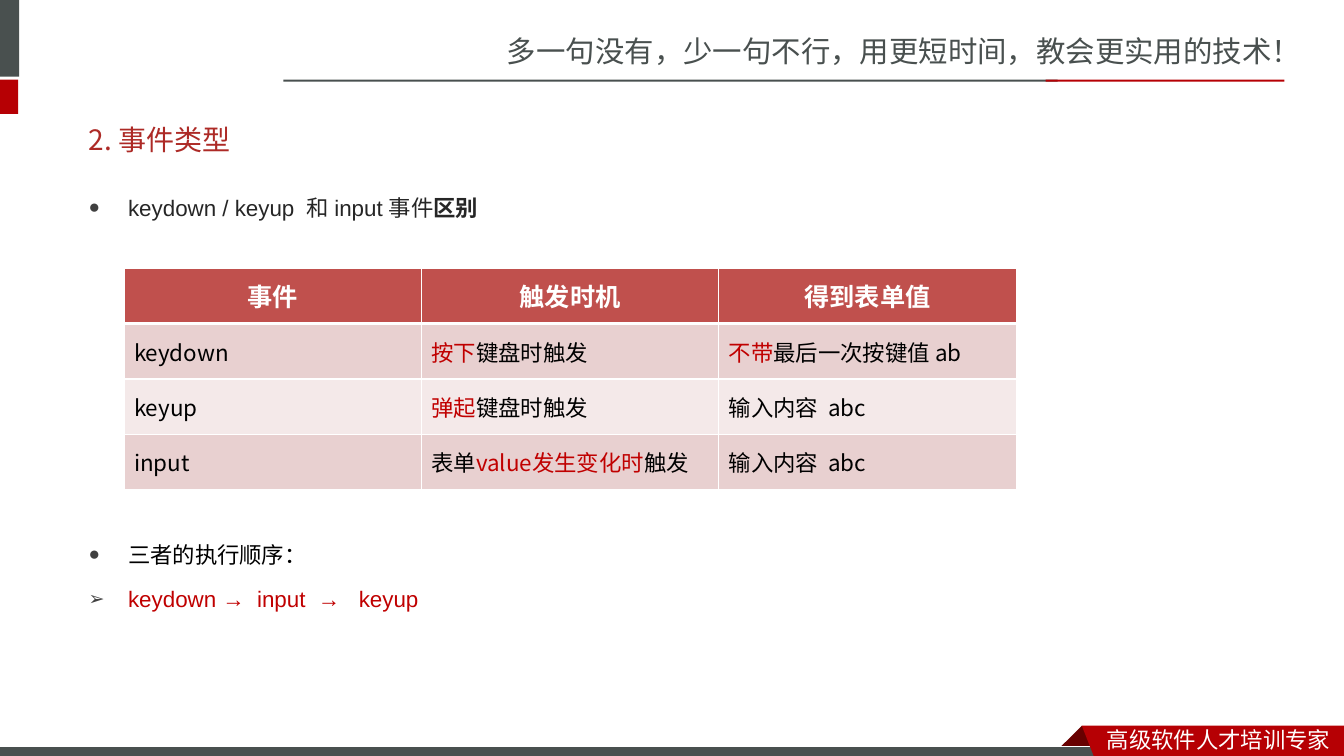
"""Build the slide that compares the keydown, keyup and input events."""
from lxml import etree
from pptx import Presentation
from pptx import util as u
from pptx.dml.color import RGBColor
from pptx.enum import shapes, text
from pptx.oxml import ns

RED, DARK_RED, GREY = "B60004", "680000", "49504F"
ACCENT, BLACK, WHITE = "C00000", "000000", "FFFFFF"
SANS_SC, SANS_JP, ARIAL = "Noto Sans CJK SC", "Noto Sans CJK JP", "Arial"


def color(value):
    return RGBColor.from_string(value)


def add_xml(parent, tag, **attributes):
    return etree.SubElement(parent, ns.qn(tag), attributes)


class SlideBuilder:
    def __init__(self, slide):
        self.slide = slide

    def place(self, shape, left, top, width, height):
        shape.left, shape.top = u.Inches(left), u.Inches(top)
        shape.width, shape.height = u.Inches(width), u.Inches(height)

    def runs(self, paragraph, parts, size, latin, east_asian, bold=False):
        for part in parts:
            content, fill, *weight = part
            run = paragraph.add_run()
            run.text = content
            font = run.font
            font.size = u.Pt(size)
            font.bold = weight[0] if weight else bold
            font.color.rgb = color(fill)
            font.name = latin
            add_xml(font._element, "a:ea", typeface=east_asian)

    def paint(self, shape, fill, line=None):
        shape.shadow.inherit = False
        shape.fill.solid()
        shape.fill.fore_color.rgb = color(fill)
        if line:
            shape.line.color.rgb = color(line)
            shape.line.width = u.Pt(0.75)
        else:
            shape.line.fill.background()

    def bar(self, left, top, width, height, fill, line=None):
        shape = self.slide.shapes.add_shape(
            shapes.MSO_SHAPE.RECTANGLE, u.Inches(left), u.Inches(top),
            u.Inches(width), u.Inches(height))
        self.paint(shape, fill, line)

    def polygon(self, points, fill):
        start, *rest = [(u.Inches(x), u.Inches(y)) for x, y in points]
        builder = self.slide.shapes.build_freeform(*start)
        builder.add_line_segments(rest, close=True)
        self.paint(builder.convert_to_shape(), fill)

    def label(self, left, top, width, height, content, size, fill):
        box = self.slide.shapes.add_textbox(
            u.Inches(left), u.Inches(top), u.Inches(width), u.Inches(height))
        box.text_frame.word_wrap = True
        self.runs(box.text_frame.paragraphs[0], [(content, fill)], size, SANS_SC, SANS_SC)

    def title(self, content):
        shape = self.slide.shapes.title
        self.place(shape, 0.78, 1.1, 11.72, 0.57)
        frame = shape.text_frame
        frame.auto_size = text.MSO_AUTO_SIZE.NONE
        frame.vertical_anchor = text.MSO_ANCHOR.MIDDLE
        frame.paragraphs[0].alignment = text.PP_ALIGN.LEFT
        self.runs(frame.paragraphs[0], [(content, "AD2A26")], 20, SANS_JP, SANS_JP)

    def bullets(self, items):
        shape = self.slide.placeholders[1]
        self.place(shape, 0.78, 1.74, 11.72, 4.98)
        frame = shape.text_frame
        frame.auto_size = text.MSO_AUTO_SIZE.NONE
        for index, (mark, space_before, parts) in enumerate(items):
            paragraph = frame.add_paragraph() if index else frame.paragraphs[0]
            paragraph.line_spacing = 1.5
            paragraph.space_before = u.Pt(space_before)
            properties = paragraph._p.get_or_add_pPr()
            properties.set("marL", str(u.Inches(0.39)))
            properties.set("indent", str(-u.Inches(0.39)))
            add_xml(add_xml(properties, "a:buClr"), "a:srgbClr", val="404040")
            add_xml(properties, "a:buSzPct", val="85000")
            add_xml(properties, "a:buChar", char=mark)
            self.runs(paragraph, parts, 16, ARIAL, SANS_SC)

    def borders(self, cell, top, bottom):
        properties = cell._tc.get_or_add_tcPr()
        for side, width in (("L", 1), ("R", 1), ("T", top), ("B", bottom)):
            line = add_xml(properties, f"a:ln{side}", w=str(u.Pt(width)))
            add_xml(add_xml(line, "a:solidFill"), "a:srgbClr", val=WHITE)

    def table(self, left, top, column_width, row_height, rows):
        count, columns = len(rows), len(rows[0])
        table = self.slide.shapes.add_table(
            count, columns, u.Inches(left), u.Inches(top),
            u.Inches(column_width * columns), u.Inches(row_height * count)).table
        for column in table.columns:
            column.width = u.Inches(column_width)
        for index, row in enumerate(rows):
            table.rows[index].height = u.Inches(row_height)
            header = index == 0
            fill = "C0504D" if header else ("F4E9E9", "E8D0D0")[index % 2]
            for cell, parts in zip(table.rows[index].cells, row):
                self.borders(cell, 3 if index == 1 else 1, 3 if header else 1)
                cell.fill.solid()
                cell.fill.fore_color.rgb = color(fill)
                cell.vertical_anchor = text.MSO_ANCHOR.MIDDLE
                paragraph = cell.text_frame.paragraphs[0]
                paragraph.alignment = text.PP_ALIGN.CENTER if header else text.PP_ALIGN.LEFT
                self.runs(paragraph, parts, 18 if header else 16, SANS_JP, SANS_JP, header)


def main():
    presentation = Presentation()
    presentation.slide_width, presentation.slide_height = u.Inches(13.33), u.Inches(7.5)
    builder = SlideBuilder(presentation.slides.add_slide(presentation.slide_layouts[1]))

    builder.label(4.93, 0.28, 8.41, 0.47,
                  "多一句没有，少一句不行，用更短时间，教会更实用的技术！", 21, GREY)
    builder.bar(-0.06, 0, 0.25, 0.76, GREY)
    builder.bar(-0.06, 0.79, 0.24, 0.34, RED)
    builder.bar(2.81, 0.79, 7.68, 0.02, GREY)
    builder.bar(10.37, 0.79, 2.37, 0.02, RED)
    builder.polygon([(10.73, 7.2), (10.95, 7.42), (10.94, 7.43),
                     (10.52, 7.43), (10.51, 7.42)], DARK_RED)
    builder.bar(-0.01, 7.41, 11, 0.12, GREY, WHITE)
    builder.polygon([(10.73, 7.2), (13.33, 7.2), (13.33, 7.54), (10.86, 7.53)], RED)
    builder.label(10.88, 7.15, 2.45, 0.37, "高级软件人才培训专家", 16, WHITE)

    builder.title("2. 事件类型")
    builder.bullets([
        ("●", 3, [("keydown / keyup  和 input 事件", "262626"), ("区别", "262626", True)]),
        ("●", 219, [("三者的执行顺序：", BLACK)]),
        ("➢", 3, [("keydown →  input  →   keyup", ACCENT)]),
    ])
    form_value = [("输入内容  abc", BLACK)]
    builder.table(1.23, 2.66, 2.95, 0.55, [
        [[(heading, WHITE)] for heading in ("事件", "触发时机", "得到表单值")],
        [[("keydown", BLACK)],
         [("按下", ACCENT), ("键盘时触发", BLACK)],
         [("不带", ACCENT), ("最后一次按键值 ab", BLACK)]],
        [[("keyup", BLACK)],
         [("弹起", ACCENT), ("键盘时触发", BLACK)],
         form_value],
        [[("input", BLACK)],
         [("表单", BLACK), ("value发生变化时", ACCENT), ("触发", BLACK)],
         form_value],
    ])
    presentation.save("out.pptx")


if __name__ == "__main__":
    main()
